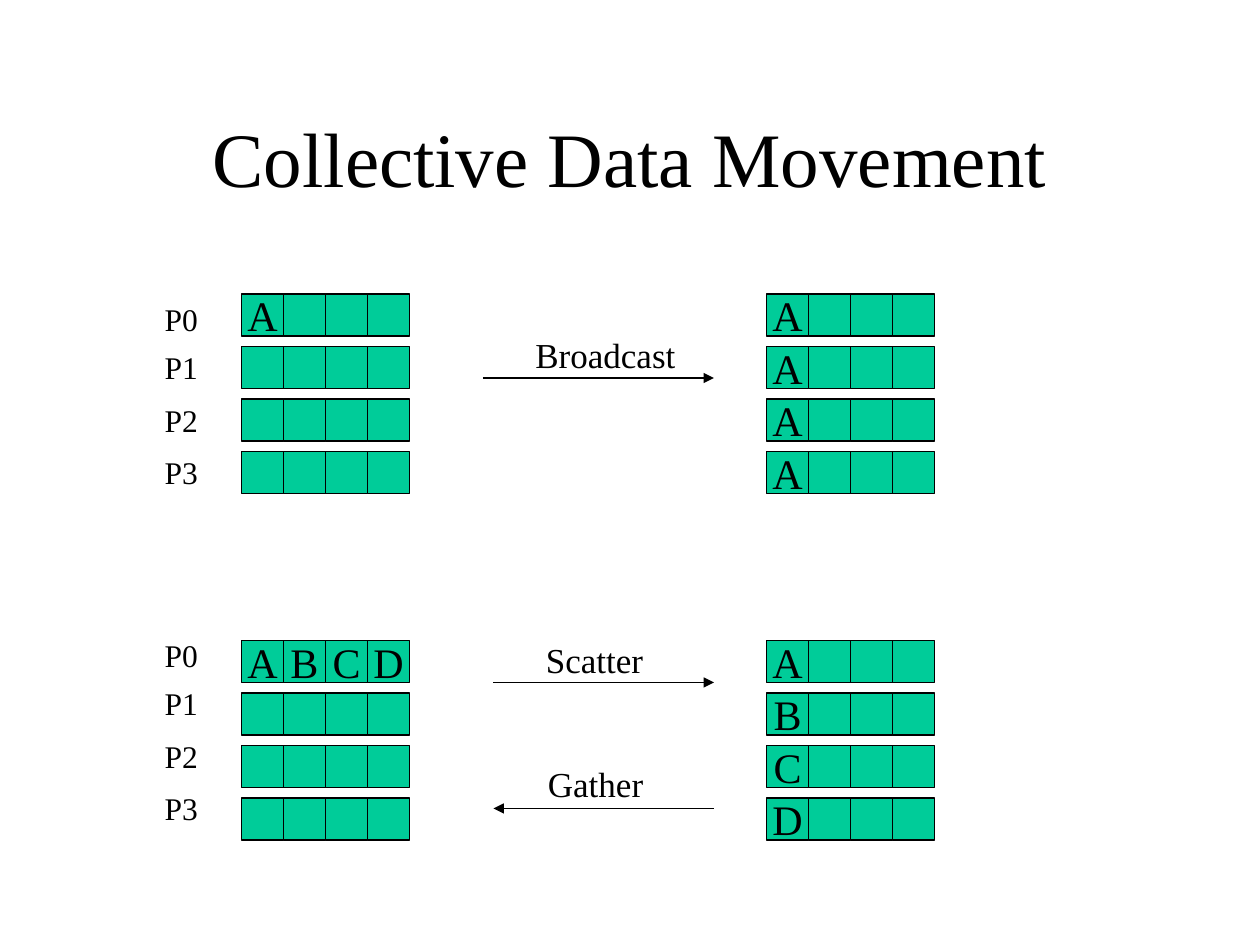
from dataclasses import dataclass

from lxml.etree import SubElement
from pptx import Presentation
from pptx.dml.color import RGBColor
from pptx.enum.shapes import MSO_CONNECTOR, MSO_SHAPE
from pptx.enum.text import MSO_ANCHOR, MSO_AUTO_SIZE, PP_ALIGN
from pptx.oxml.ns import qn
from pptx.shapes.shapetree import SlideShapes
from pptx.text.text import TextFrame
from pptx.util import Emu, Pt

PX = 7620  # EMU per px, 120 px to the inch
FONT = "Times New Roman"
COLORS = {"cell": "00CC99", "ink": "000000"}
CELL, PITCH, COLS = 40, 50, 4
SEND, RECV = 230, 730
RANK_LEFT, RANK_TOPS = 145, (0, 46, 96, 146)


@dataclass
class Grid:
    left: int
    top: int
    rows: tuple[str, ...]


@dataclass
class Label:
    text: str
    left: int
    top: int
    width: int
    height: int
    size: int = 20


@dataclass
class Arrow:
    left: int
    right: int
    y: int
    end: str


GRIDS = [
    Grid(SEND, 280, ("A", "", "", "")),
    Grid(RECV, 280, ("A", "A", "A", "A")),
    Grid(SEND, 610, ("ABCD", "", "", "")),
    Grid(RECV, 610, ("A", "B", "C", "D")),
]
ARROWS = [
    Arrow(460, 680, 360, "a:tailEnd"),
    Arrow(470, 680, 650, "a:tailEnd"),
    Arrow(470, 680, 770, "a:headEnd"),
]
LABELS = [
    Label("Broadcast", 498, 312, 160, 53),
    Label("Scatter", 508, 602, 119, 53),
    Label("Gather", 510, 720, 117, 53),
] + [
    Label(f"P{rank}", RANK_LEFT, top + step, 58, 48, 18)
    for top in (280, 600)
    for rank, step in enumerate(RANK_TOPS)
]
TITLE = Label("Collective Data Movement", 90, 80, 1020, 150, 44)


def px(*nums: int) -> list[Emu]:
    return [Emu(num * PX) for num in nums]


def color(name: str) -> RGBColor:
    return RGBColor.from_string(COLORS[name])


def write(frame: TextFrame, text: str, size: int, align: PP_ALIGN) -> None:
    para = frame.paragraphs[0]
    para.text = text
    para.alignment = align
    para.font.name = FONT
    para.font.size = Pt(size)
    para.font.color.rgb = color("ink")


def draw_cell(shapes: SlideShapes, left: int, top: int, text: str) -> None:
    cell = shapes.add_shape(MSO_SHAPE.RECTANGLE, *px(left, top, CELL, CELL))
    cell.shadow.inherit = False
    cell.fill.solid()
    cell.fill.fore_color.rgb = color("cell")
    cell.line.color.rgb = color("ink")
    cell.line.width = Pt(1)
    if text:
        frame = cell.text_frame
        frame.word_wrap = False
        frame.vertical_anchor = MSO_ANCHOR.MIDDLE
        write(frame, text, 24, PP_ALIGN.CENTER)


def draw_grid(shapes: SlideShapes, grid: Grid) -> None:
    for row, text in enumerate(grid.rows):
        for col, char in enumerate(text.ljust(COLS)):
            draw_cell(shapes, grid.left + col * CELL,
                      grid.top + row * PITCH, char.strip())


def draw_label(shapes: SlideShapes, label: Label) -> TextFrame:
    box = shapes.add_textbox(
        *px(label.left, label.top, label.width, label.height))
    frame = box.text_frame
    frame.word_wrap = False
    frame.auto_size = MSO_AUTO_SIZE.SHAPE_TO_FIT_TEXT
    write(frame, label.text, label.size, PP_ALIGN.LEFT)
    return frame


def draw_title(shapes: SlideShapes, label: Label) -> None:
    frame = draw_label(shapes, label)
    frame.word_wrap = True
    frame.auto_size = MSO_AUTO_SIZE.NONE
    frame.vertical_anchor = MSO_ANCHOR.MIDDLE
    para = frame.paragraphs[0]
    para.alignment = PP_ALIGN.CENTER
    para.line_spacing = 0.9


def draw_arrow(shapes: SlideShapes, arrow: Arrow) -> None:
    line = shapes.add_connector(
        MSO_CONNECTOR.STRAIGHT,
        *px(arrow.left, arrow.y, arrow.right, arrow.y))
    line.line.color.rgb = color("ink")
    line.line.width = Pt(1)
    SubElement(line.line._get_or_add_ln(), qn(arrow.end), type="triangle")
    SubElement(line._element.spPr, qn("a:effectLst"))


def main() -> None:
    deck = Presentation()
    deck.slide_width, deck.slide_height = px(1200, 900)
    shapes = deck.slides.add_slide(deck.slide_layouts[6]).shapes
    draw_title(shapes, TITLE)
    for grid in GRIDS:
        draw_grid(shapes, grid)
    for arrow in ARROWS:
        draw_arrow(shapes, arrow)
    for label in LABELS:
        draw_label(shapes, label)
    deck.save("out.pptx")


if __name__ == "__main__":
    main()
